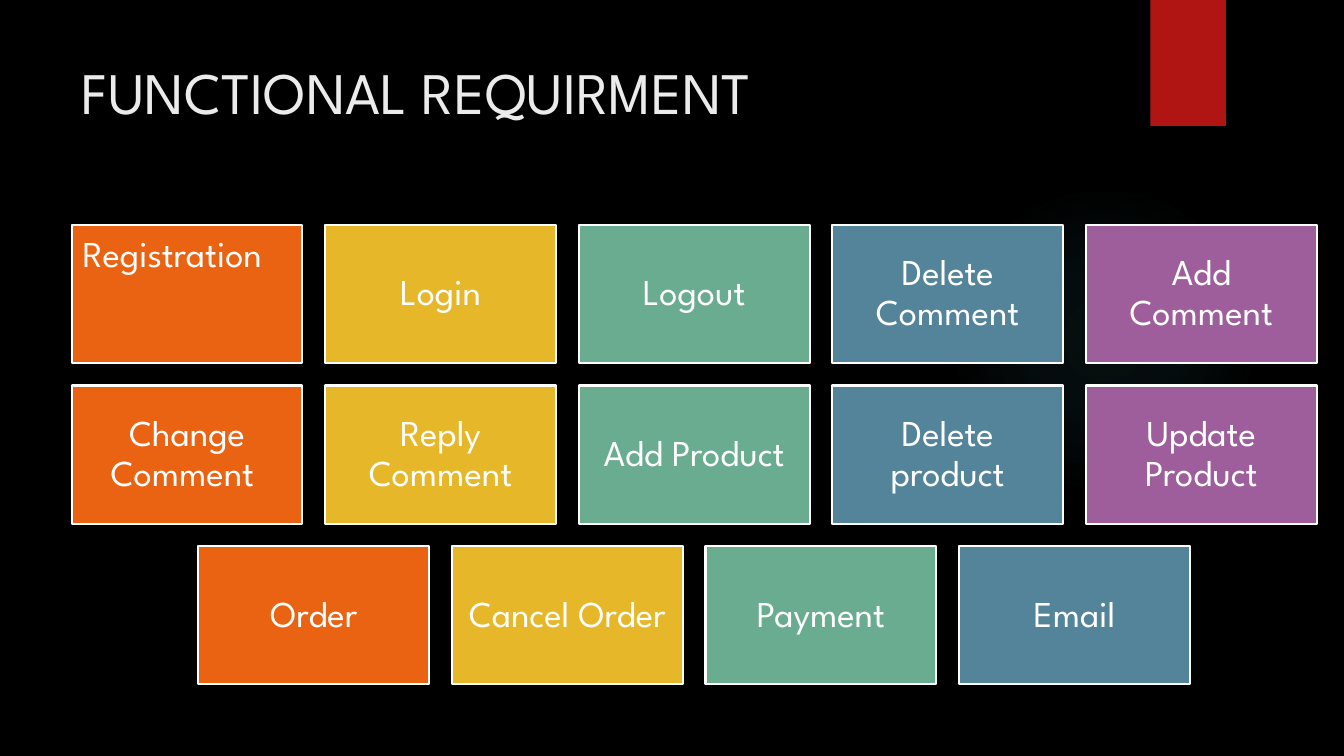
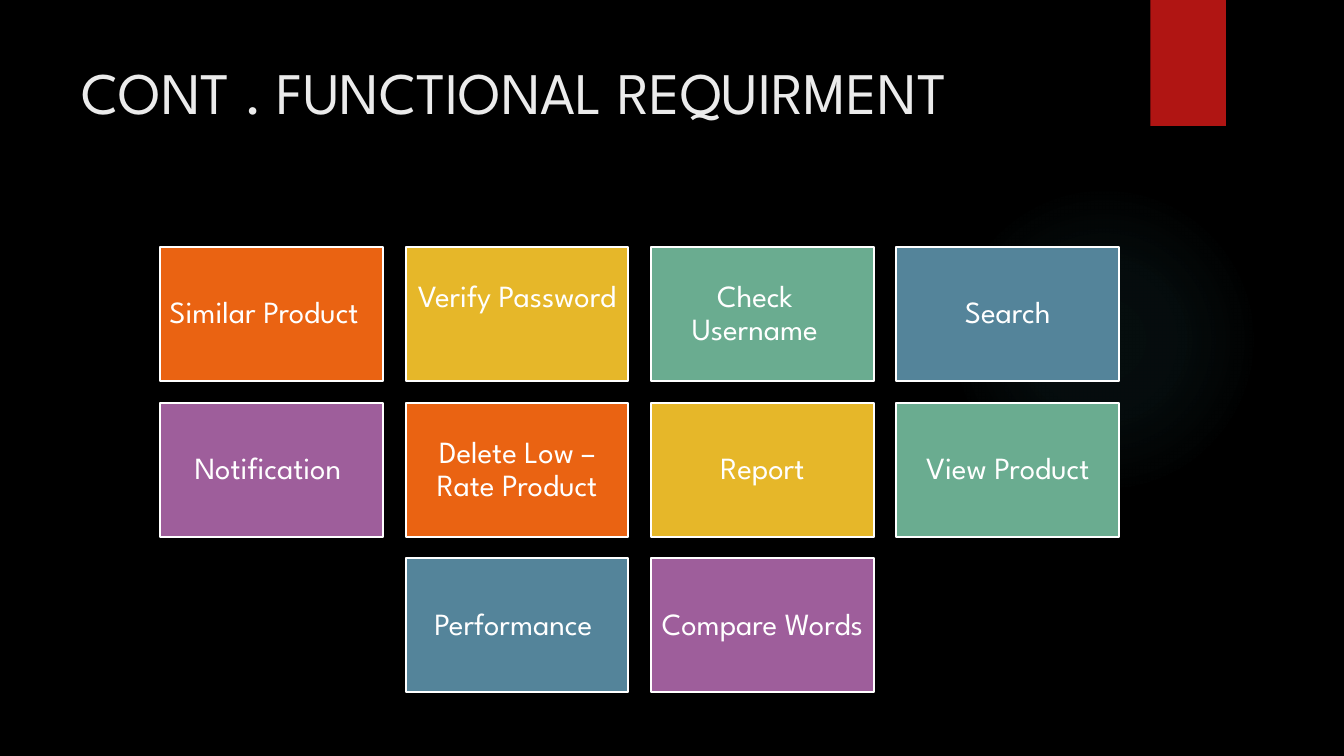
from pptx import Presentation
from pptx.dml.color import RGBColor
from pptx.enum.shapes import MSO_SHAPE as Shape
from pptx.enum.text import MSO_ANCHOR as Anchor, MSO_AUTO_SIZE as AutoSize, PP_ALIGN as Align
from pptx.oxml import parse_xml
from pptx.oxml.ns import nsdecls
from pptx.util import Emu, Pt

# One px is a hundredth of an inch
PX = 9144
FONT = "League Spartan"
WHITE, BLACK, TITLE_GREY = "FFFFFF", "000000", "EBEBEB"
BAND_RED, GLOW_TEAL = "B01513", "50B9C1"
TILE_COLOURS = ["EA6312", "E6B729", "6AAC90", "54849A", "9E5E9B"]


def px(length):
    return Emu(round(length * PX))


def rgb(hex_colour):
    return RGBColor.from_string(hex_colour)


def apply(target, formats):
    for attribute, value in formats.items():
        setattr(target, attribute, value)


def style_font(font, size, colour):
    apply(font, {"name": FONT, "size": Pt(size)})
    font.color.rgb = rgb(colour)


def add_box(slide, preset, box, fill=None, line=None):
    shape = slide.shapes.add_shape(preset, *map(px, box))
    shape.shadow.inherit = False
    if fill:
        shape.fill.solid()
        shape.fill.fore_color.rgb = rgb(fill)
    if line:
        shape.line.color.rgb = rgb(line)
        shape.line.width = Pt(1.5)
    else:
        shape.line.fill.background()
    return shape


def decorate_master(prs, slide):
    """Black background, teal glow and red band shared by all slides."""
    master = prs.slide_master
    master.background.fill.solid()
    master.background.fill.fore_color.rgb = rgb(BLACK)

    # Soft radial glow
    glow = add_box(slide, Shape.OVAL, (941, 183, 308, 308))
    stops = "".join(
        f'<a:gs pos="{pos}000"><a:srgbClr val="{GLOW_TEAL}">'
        f'<a:alpha val="{alpha}000"/></a:srgbClr></a:gs>'
        for pos, alpha in [(0, 7), (36, 6), (69, 0)])
    glow.element.spPr.prstGeom.addnext(parse_xml(
        f'<a:gradFill {nsdecls("a")}><a:gsLst>{stops}</a:gsLst><a:path path="circle">'
        '<a:fillToRect l="50000" t="50000" r="50000" b="50000"/></a:path></a:gradFill>'))

    # Red band with a faint shadow below it
    band = add_box(slide, Shape.RECTANGLE, (1141, 0, 75, 125), BAND_RED)
    band.element.spPr[-1].append(parse_xml(
        f'<a:outerShdw {nsdecls("a")} blurRad="{Pt(3)}" dist="{Pt(2)}" dir="5400000">'
        f'<a:srgbClr val="{BLACK}"><a:alpha val="45000"/></a:srgbClr></a:outerShdw>'))

    # Both go behind the master's placeholders
    for order, part in enumerate([glow, band]):
        part.element.nvSpPr.cNvPr.set("id", str(100 + order))
        master.element.cSld.spTree.insert(2 + order, part.element)


def add_title(slide, text, box):
    title = slide.shapes.title
    apply(title, dict(zip(("left", "top", "width", "height"), map(px, box))))
    frame = title.text_frame
    frame.text = text
    apply(frame, {"auto_size": AutoSize.NONE, "vertical_anchor": Anchor.TOP,
                  "word_wrap": True})
    frame.paragraphs[0].alignment = Align.LEFT
    style_font(frame.paragraphs[0].font, 42, TITLE_GREY)


def add_tile(slide, box, label, colour, size, inset, frame_format, alignment):
    tile = add_box(slide, Shape.RECTANGLE, box, colour, WHITE)
    frame = tile.text_frame
    frame.text = label
    sides = ("margin_left", "margin_top", "margin_right", "margin_bottom")
    apply(frame, {"word_wrap": True, "vertical_anchor": Anchor.MIDDLE,
                  **dict.fromkeys(sides, px(inset)), **frame_format})
    paragraph = frame.paragraphs[0]
    apply(paragraph, {"alignment": alignment, "line_spacing": 0.9})
    style_font(paragraph.font, size, WHITE)


def add_tile_grid(slide, box, rows, tile_size, size, inset, exceptions):
    """Rows of equal tiles; a shorter row is centred in the box."""
    left, top, width, height = box
    tile_w, tile_h = tile_size
    columns = max(map(len, rows))
    gap_x = (width - columns * tile_w) / (columns - 1)
    gap_y = (height - len(rows) * tile_h) / (len(rows) - 1)
    count = 0
    for row, labels in enumerate(rows):
        indent = (columns - len(labels)) * (tile_w + gap_x) / 2
        for column, label in enumerate(labels):
            x = left + indent + column * (tile_w + gap_x)
            y = top + row * (tile_h + gap_y)
            frame_format, alignment = exceptions.get(label, ({}, Align.CENTER))
            add_tile(slide, (x, y, tile_w, tile_h), label,
                     TILE_COLOURS[count % len(TILE_COLOURS)], size, inset,
                     frame_format, alignment)
            count += 1


REQUIREMENTS = [
    {"title": "FUNCTIONAL REQUIRMENT",
     "grid": {
         "box": (71, 223, 1235, 456), "tile_size": (229, 137), "size": 26, "inset": 11,
         "rows": [
             ["Registration", "Login", "Logout", "Delete Comment", "Add Comment"],
             ["Change Comment ", "Reply Comment", "Add Product", "Delete product",
              "Update Product"],
             ["Order", "Cancel Order", "Payment", "Email"]],
         "exceptions": {
             "Registration": ({"vertical_anchor": Anchor.TOP}, Align.LEFT)}}},
    {"title": "CONT . FUNCTIONAL REQUIRMENT",
     "grid": {
         "box": (159, 245, 951, 442), "tile_size": (221, 133), "size": 22, "inset": 9,
         "rows": [
             ["Similar Product", "Verify Password", "Check Username", "Search"],
             ["Notification ", "Delete Low – Rate Product", "Report", "View Product"],
             ["Performance ", "Compare Words"]],
         "exceptions": {
             "Similar Product": ({}, Align.LEFT),
             "Verify Password": ({"margin_bottom": px(42)}, Align.CENTER),
             "Check Username": ({"margin_right": px(24)}, Align.CENTER)}}},
]


def main():
    prs = Presentation()
    apply(prs, {"slide_width": px(1333), "slide_height": px(750)})
    title_only = prs.slide_layouts[5]
    for number, requirement in enumerate(REQUIREMENTS):
        slide = prs.slides.add_slide(title_only)
        if number == 0:
            decorate_master(prs, slide)
        add_title(slide, requirement["title"], (71, 50, 1029, 153))
        add_tile_grid(slide, **requirement["grid"])
    prs.save("out.pptx")


if __name__ == "__main__":
    main()
